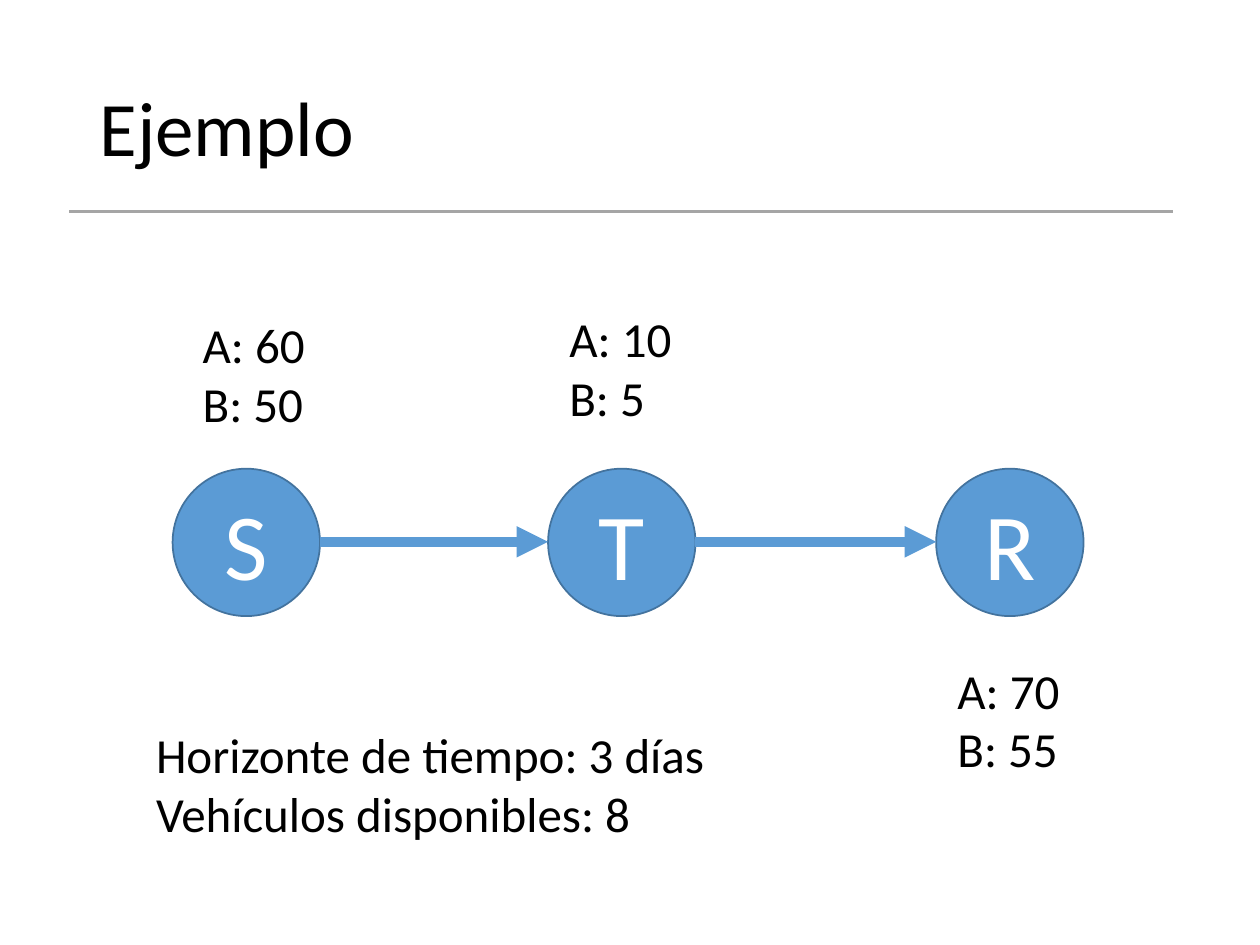
"""Build a slide with a three-node transport example, its stock levels and its limits."""
from dataclasses import dataclass
from itertools import pairwise

import lxml.etree
import pptx
import pptx.dml.color
import pptx.enum.shapes
import pptx.enum.text
import pptx.oxml.ns
import pptx.shapes.connector
import pptx.slide
import pptx.text.text
import pptx.util
from pptx.util import Inches

BLACK = pptx.dml.color.RGBColor(0x00, 0x00, 0x00)
WHITE = pptx.dml.color.RGBColor(0xFF, 0xFF, 0xFF)
BLUE = pptx.dml.color.RGBColor(0x5B, 0x9B, 0xD5)
DARK_BLUE = pptx.dml.color.RGBColor(0x43, 0x73, 0x9E)
GRAY = pptx.dml.color.RGBColor(0xA5, 0xA5, 0xA5)

FONT = "Calibri"
DIAMETER = 1.17
NODE_TOP = 3.72
NODE_MIDDLE = 4.3
NOTE_HEIGHT = 1.04
STOCK_WIDTH = 1.02


@dataclass(frozen=True)
class Node:
    label: str
    left: float
    stock: tuple[str, str]
    stock_left: float
    stock_top: float


NODES = (
    Node("S", 1.37, ("A: 60", "B: 50"), 1.51, 2.45),
    Node("T", 4.35, ("A: 10", "B: 5"), 4.42, 2.4),
    Node("R", 7.43, ("A: 70", "B: 55"), 7.5, 5.19),
)
LIMITS = ("Horizonte de tiempo: 3 días", "Vehículos disponibles: 8")


def format_paragraph(
    paragraph: pptx.text.text._Paragraph,
    size: int,
    color: pptx.dml.color.RGBColor,
    alignment: pptx.enum.text.PP_ALIGN = pptx.enum.text.PP_ALIGN.LEFT,
) -> None:
    paragraph.alignment = alignment
    paragraph.font.name = FONT
    paragraph.font.size = pptx.util.Pt(size)
    paragraph.font.color.rgb = color


def add_title(slide: pptx.slide.Slide, wording: str) -> None:
    title = slide.shapes.title
    title.left, title.top = Inches(0.69), Inches(0.32)
    title.width, title.height = Inches(8.62), Inches(1.45)
    title.text_frame.text = wording
    title.text_frame.vertical_anchor = pptx.enum.text.MSO_ANCHOR.MIDDLE
    heading = title.text_frame.paragraphs[0]
    heading.line_spacing = 0.9
    format_paragraph(heading, 44, BLACK)


def add_line(
    slide: pptx.slide.Slide,
    start: float,
    end: float,
    height: float,
    color: pptx.dml.color.RGBColor,
    weight: float,
) -> pptx.shapes.connector.Connector:
    line = slide.shapes.add_connector(
        pptx.enum.shapes.MSO_CONNECTOR.STRAIGHT,
        Inches(start), Inches(height), Inches(end), Inches(height),
    )
    line.line.color.rgb = color
    line.line.width = pptx.util.Pt(weight)
    lxml.etree.SubElement(line._element.spPr, pptx.oxml.ns.qn("a:effectLst"))
    return line


def add_arrow(slide: pptx.slide.Slide, origin: Node, target: Node) -> None:
    arrow = add_line(slide, origin.left + DIAMETER, target.left, NODE_MIDDLE, BLUE, 6)
    outline = arrow._element.spPr.find(pptx.oxml.ns.qn("a:ln"))
    lxml.etree.SubElement(outline, pptx.oxml.ns.qn("a:tailEnd"), type="triangle")


def add_node(slide: pptx.slide.Slide, node: Node) -> None:
    circle = slide.shapes.add_shape(
        pptx.enum.shapes.MSO_SHAPE.OVAL,
        Inches(node.left), Inches(NODE_TOP), Inches(DIAMETER), Inches(DIAMETER),
    )
    circle.shadow.inherit = False
    circle.fill.solid()
    circle.fill.fore_color.rgb = BLUE
    circle.line.color.rgb = DARK_BLUE
    circle.line.width = pptx.util.Pt(1)
    circle.text_frame.text = node.label
    circle.text_frame.vertical_anchor = pptx.enum.text.MSO_ANCHOR.MIDDLE
    format_paragraph(
        circle.text_frame.paragraphs[0], 54, WHITE, pptx.enum.text.PP_ALIGN.CENTER
    )


def add_note(
    slide: pptx.slide.Slide, left: float, top: float, width: float, lines: tuple[str, str]
) -> None:
    note = slide.shapes.add_textbox(
        Inches(left), Inches(top), Inches(width), Inches(NOTE_HEIGHT)
    ).text_frame
    note.word_wrap = False
    note.auto_size = pptx.enum.text.MSO_AUTO_SIZE.SHAPE_TO_FIT_TEXT
    note.text = "\n".join(lines)
    for paragraph in note.paragraphs:
        format_paragraph(paragraph, 28, BLACK)


def main() -> None:
    presentation = pptx.Presentation()
    presentation.slide_width = Inches(10)
    presentation.slide_height = Inches(7.5)
    slide = presentation.slides.add_slide(presentation.slide_layouts[5])

    add_title(slide, "Ejemplo")
    add_line(slide, 0.55, 9.31, 1.68, GRAY, 1.5)
    for node in NODES:
        add_node(slide, node)
    for origin, target in pairwise(NODES):
        add_arrow(slide, origin, target)
    for node in NODES:
        add_note(slide, node.stock_left, node.stock_top, STOCK_WIDTH, node.stock)
    add_note(slide, 1.14, 5.7, 4.6, LIMITS)

    presentation.save("out.pptx")


if __name__ == "__main__":
    main()
